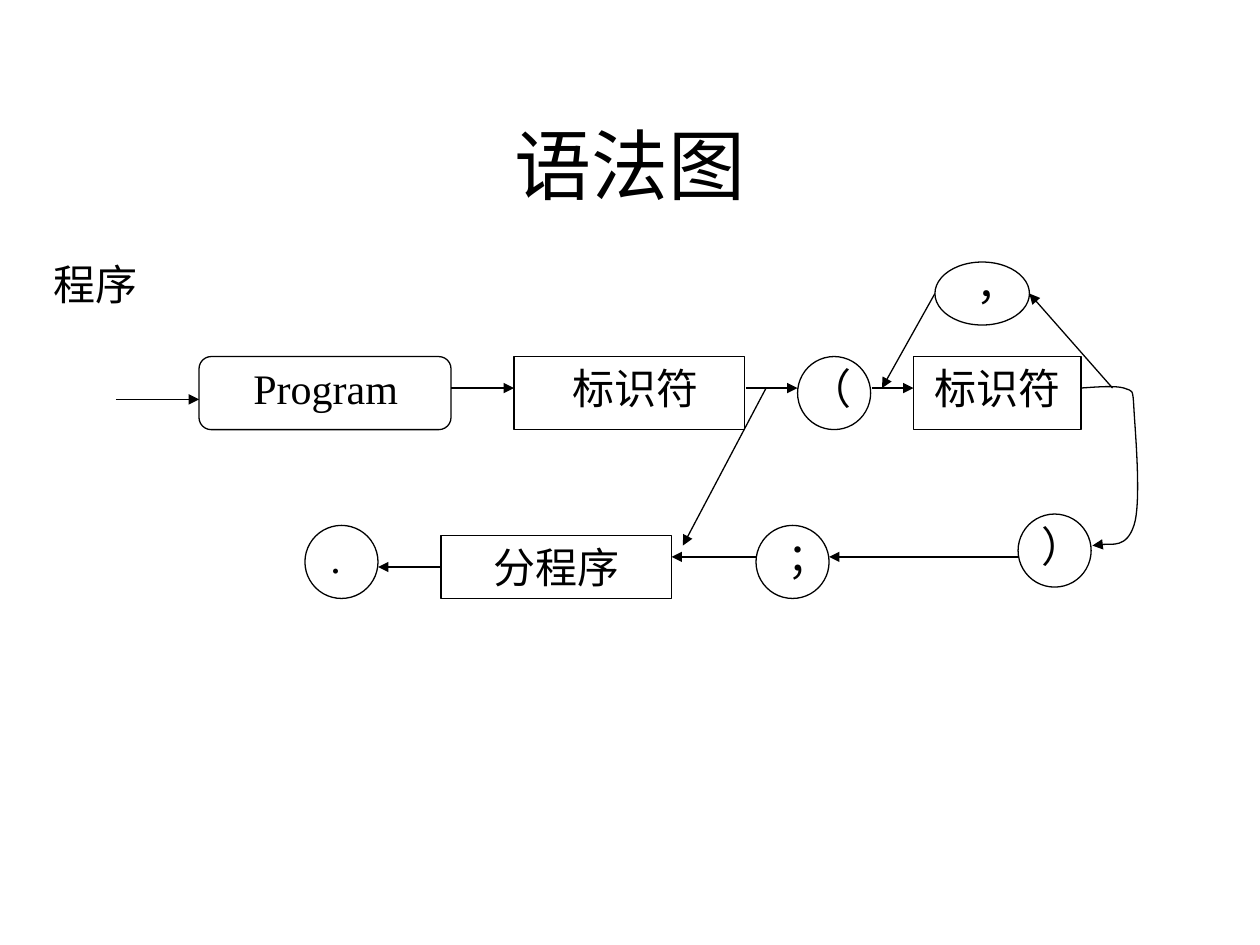
from pptx import Presentation, util as u
from pptx.dml.color import RGBColor
from pptx.enum import shapes, text
from pptx.oxml import ns
from lxml import etree

COLOURS = {"ink": "000000"}
INK = RGBColor.from_string(COLOURS["ink"])
FONT = "Times New Roman"
RECT = shapes.MSO_SHAPE.RECTANGLE
ROUNDED = shapes.MSO_SHAPE.ROUNDED_RECTANGLE
OVAL = shapes.MSO_SHAPE.OVAL
LEFT, CENTER = text.PP_ALIGN.LEFT, text.PP_ALIGN.CENTER
ROUND = 0.58


def place(box, x, y):
    """Turn an offset inside a box into slide lengths."""
    return u.Inches(box[0] + x), u.Inches(box[1] + y)


def write(holder, wording, size=24, align=CENTER, before=15, anchor=text.MSO_ANCHOR.TOP):
    """Write one formatted paragraph into a shape."""
    frame = holder.text_frame
    frame.word_wrap, frame.vertical_anchor = True, anchor
    paragraph = frame.paragraphs[0]
    run = paragraph.add_run()
    run.text = wording
    formats = {
        paragraph: {"alignment": align, "space_before": u.Pt(before)},
        run.font: {"name": FONT, "size": u.Pt(size)},
    }
    for target, values in formats.items():
        for key, value in values.items():
            setattr(target, key, value)
    run.font.color.rgb = INK


def outline(line):
    """Give a line the diagram's thin stroke."""
    line.color.rgb = INK
    line.width = u.Pt(0.75)


def add_arrowhead(line):
    """Put a triangle at the end of a line."""
    etree.SubElement(line._get_or_add_ln(), ns.qn("a:tailEnd"), type="triangle")


def add_label(slide, box, x, y, width, wording, align=CENTER, height=0.5, **formats):
    """Add a text label inside a box."""
    label = slide.shapes.add_textbox(
        *place(box, x, y), u.Inches(width), u.Inches(height))
    write(label, wording, align=align, **formats)


def add_symbol(slide, box, kind, x, y, width, height):
    """Add an unfilled grammar symbol inside a box."""
    symbol = slide.shapes.add_shape(
        kind, *place(box, x, y), u.Inches(width), u.Inches(height))
    symbol.shadow.inherit = False
    symbol.fill.background()
    outline(symbol.line)
    return symbol


def add_arrow(slide, box, start, end):
    """Add a straight arrow between two offsets in a box."""
    arrow = slide.shapes.add_connector(
        shapes.MSO_CONNECTOR.STRAIGHT, *place(box, *start), *place(box, *end))
    outline(arrow.line)
    add_arrowhead(arrow.line)
    etree.SubElement(arrow._element.spPr, ns.qn("a:effectLst"))
    return arrow


def add_curved_arrow(slide, box, start, controls):
    """Add an arrow of cubic curves, three control points for each curve."""
    builder = slide.shapes.build_freeform(*place(box, *start), scale=1.0)
    builder.add_line_segments([place(box, *point) for point in controls], close=False)
    curve = builder.convert_to_shape()
    curve.shadow.inherit = False
    curve.fill.background()
    outline(curve.line)
    add_arrowhead(curve.line)
    segments = curve._element.xpath(".//a:lnTo")
    for first in range(0, len(segments), 3):
        bezier = etree.Element(ns.qn("a:cubicBezTo"))
        segments[first].addprevious(bezier)
        for segment in segments[first:first + 3]:
            bezier.append(segment[0])
            segment.getparent().remove(segment)


def draw_heading(slide, box):
    """Draw the slide title and the name of the rule."""
    add_label(slide, box, 0.42, 0, 8.5, "语法图", height=1.25, size=44,
              before=0, anchor=text.MSO_ANCHOR.MIDDLE)
    add_label(slide, box, 0, 1.33, 1.08, "程序", LEFT)


def draw_program_row(slide, box):
    """Draw the row from the keyword to the parameter names."""
    symbols = [(ROUNDED, 0.66, 2), (RECT, 3.16, 1.83),
               (OVAL, 5.41, ROUND), (RECT, 6.33, 1.33)]
    for kind, x, width in symbols:
        add_symbol(slide, box, kind, x, 0, width, 0.58)
    labels = [(0.75, 1.83, "Program", CENTER), (3.25, 1.75, "标识符", CENTER),
              (5.41, ROUND, "（", LEFT), (6.25, 1.5, "标识符", CENTER)]
    for x, width, wording, align in labels:
        add_label(slide, box, x, 0, width, wording, align)
    add_arrow(slide, box, (0, 0.34), (0.66, 0.34))
    for start, end in [(2.66, 3.16), (5, 5.41), (6, 6.33)]:
        add_arrow(slide, box, (start, 0.25), (end, 0.25))
    add_arrow(slide, box, (5.16, 0.25), (4.5, 1.5))
    add_curved_arrow(slide, box, (7.66, 0.25), [
        (7.8, 0.24), (7.93, 0.23), (8, 0.25),
        (8.07, 0.28), (8.07, 0.24), (8.08, 0.42),
        (8.09, 0.6), (8.14, 1.16), (8.08, 1.34),
        (8.02, 1.52), (7.8, 1.48), (7.75, 1.5)])


def draw_comma_loop(slide, box):
    """Draw the loop that repeats names after a comma."""
    add_symbol(slide, box, OVAL, 0.42, 0.08, 0.75, 0.5)
    add_label(slide, box, 0.33, 0, 1.17, "，")
    add_arrow(slide, box, (1.83, 1.08), (1.17, 0.33))
    add_arrow(slide, box, (0.42, 0.33), (0, 1.08))


def draw_block_row(slide, box):
    """Draw the row from the closing bracket back to the full stop."""
    for x, y in [(0.42, 0.09), (4, 0.09), (6.08, 0)]:
        add_symbol(slide, box, OVAL, x, y, ROUND, ROUND)
    labels = [(0, 0.09, 1.33, ".", CENTER), (3.83, 0.09, 1.17, "；", CENTER),
              (6.17, 0, 0.67, "）", LEFT)]
    for label in labels:
        add_label(slide, box, *label)
    block = add_symbol(slide, box, RECT, 1.5, 0.17, 1.83, 0.5)
    write(block, "分程序")
    for start, end in [(6.08, 4.58), (4, 3.33)]:
        add_arrow(slide, box, (start, 0.34), (end, 0.34))
    add_arrow(slide, box, (1.5, 0.42), (1, 0.42)).begin_connect(block, 1)


def main():
    """Build the syntax diagram slide."""
    deck = Presentation()
    deck.slide_width, deck.slide_height = u.Inches(10), u.Inches(7.5)
    slide = deck.slides.add_slide(deck.slide_layouts[6])
    draw_heading(slide, (0.33, 0.67))
    draw_program_row(slide, (0.92, 2.83))
    draw_comma_loop(slide, (7, 2))
    draw_block_row(slide, (2, 4.08))
    deck.save("out.pptx")


if __name__ == "__main__":
    main()
